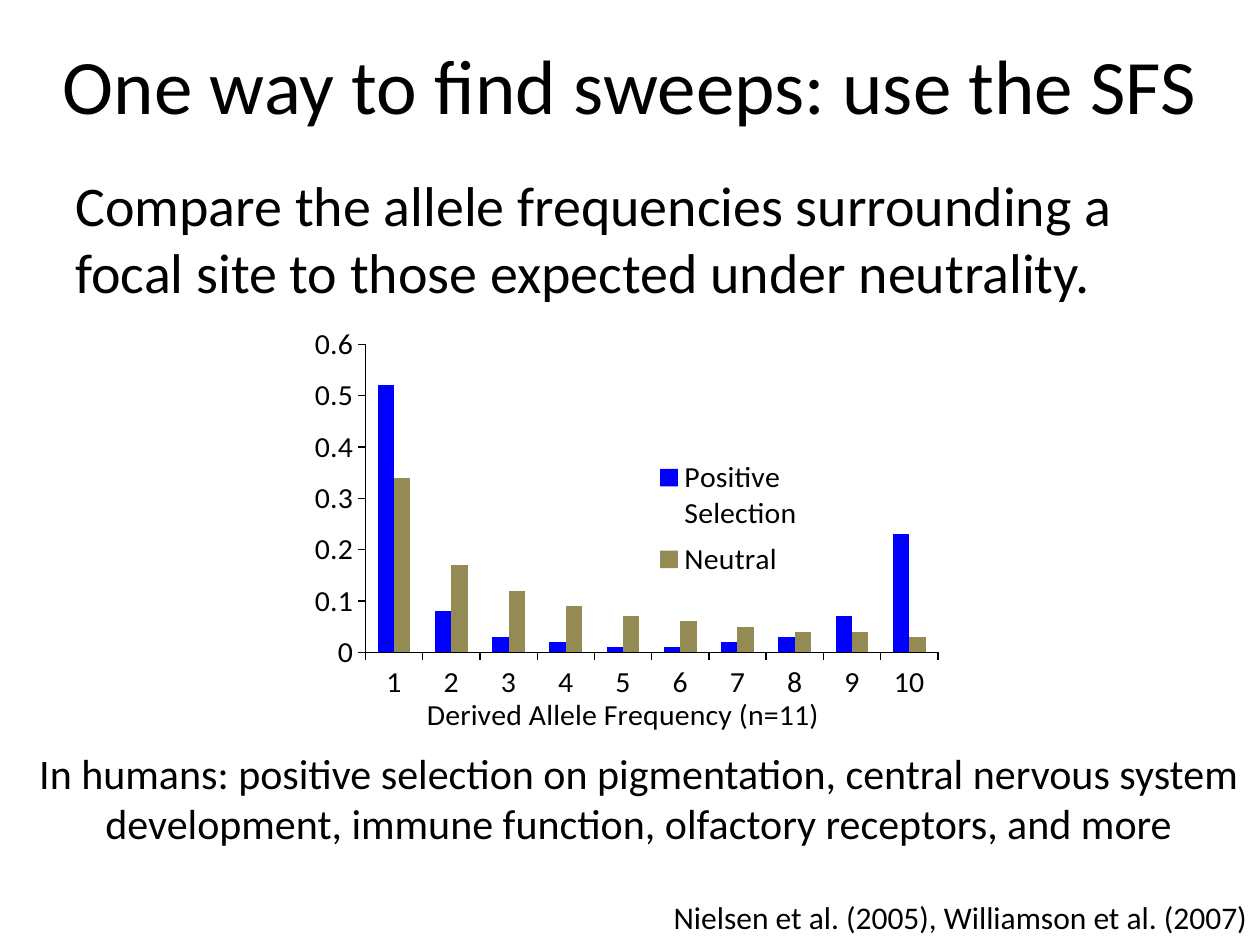
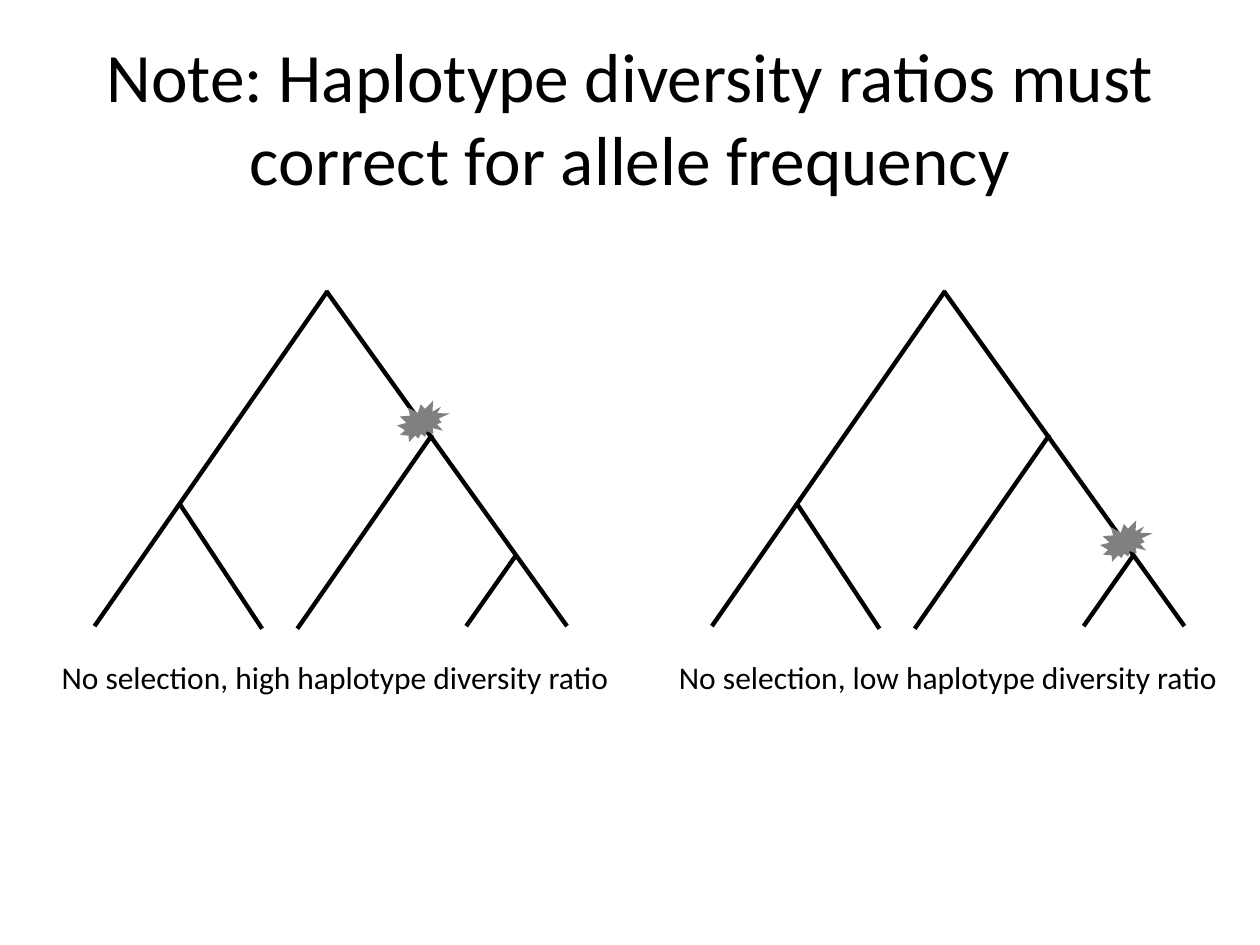
from dataclasses import dataclass

from lxml import etree
from pptx import Presentation
from pptx import util as u
from pptx.chart.data import CategoryChartData
from pptx.dml.color import RGBColor
from pptx.enum import chart as charts
from pptx.enum import shapes, text
from pptx.oxml import parse_xml
from pptx.oxml.ns import nsdecls, qn

COLUMNS, ROWS = 100, 75
WIDTH, HEIGHT = u.Inches(10), u.Inches(7.5)
FONT = "Calibri"
COLORS = {
    "ink": "000000",
    "selection": "0000FF",
    "neutral": "948A54",
    "mutation": "808080",
}
LEFT, CENTER, RIGHT = text.PP_ALIGN.LEFT, text.PP_ALIGN.CENTER, text.PP_ALIGN.RIGHT
TOP, MIDDLE = text.MSO_ANCHOR.TOP, text.MSO_ANCHOR.MIDDLE


@dataclass(frozen=True)
class Area:
    """A rectangle in grid columns and rows."""
    left: float
    top: float
    width: float
    height: float

    def emu(self) -> tuple:
        return column(self.left), row(self.top), column(self.width), row(self.height)


@dataclass(frozen=True)
class Label:
    words: str
    area: Area
    size: float = 18
    align: text.PP_ALIGN = LEFT
    anchor: text.MSO_ANCHOR = TOP
    wrap: bool = True


@dataclass(frozen=True)
class Branch:
    """A tree edge; columns count from the left edge of the tree's half."""
    start: tuple
    end: tuple


@dataclass(frozen=True)
class Tree:
    offset: float
    caption: Label
    mutation: Area


@dataclass(frozen=True)
class Series:
    name: str
    values: tuple
    color: str


BRANCHES = (
    Branch((26, 23.1), (7.5, 49.7)),
    Branch((45, 49.7), (25.9, 23.1)),
    Branch((41, 44), (37, 49.7)),
    Branch((34.3, 34.5), (23.6, 49.9)),
    Branch((14.2, 39.9), (20.8, 49.9)),
)
TREES = (
    Tree(0, Label("No selection, high haplotype diversity ratio",
                  Area(3.9, 51.7, 46, 4), wrap=False),
         Area(31.5, 31.8, 4.2, 3.3)),
    Tree(49, Label("No selection, low haplotype diversity ratio",
                   Area(52.9, 51.7, 45.2, 4), wrap=False),
         Area(87.3, 41.3, 4.2, 3.3)),
)
SPECTRA = (
    Series("Positive Selection",
           (0.52, 0.08, 0.03, 0.02, 0.01, 0.01, 0.02, 0.03, 0.07, 0.23), "selection"),
    Series("Neutral",
           (0.34, 0.17, 0.12, 0.09, 0.07, 0.06, 0.05, 0.04, 0.04, 0.03), "neutral"),
)
SPECTRUM_LABELS = (
    Label("Compare the allele frequencies surrounding a focal site to those "
          "expected under neutrality.", Area(5, 13, 90, 49.5), 32),
    Label("Nielsen et al. (2005), Williamson et al. (2007)",
          Area(45.5, 70.8, 54.5, 4), align=RIGHT),
    Label("In humans: positive selection on pigmentation, central nervous system "
          "development, immune function, olfactory receptors, and more",
          Area(1.4, 58.8, 98.6, 9.1), 24, CENTER),
)


def column(count: float) -> u.Emu:
    return u.Emu(round(WIDTH * count / COLUMNS))


def row(count: float) -> u.Emu:
    return u.Emu(round(HEIGHT * count / ROWS))


def rgb(name: str) -> RGBColor:
    return RGBColor.from_string(COLORS[name])


def set_all(target, formats: dict) -> None:
    for name, value in formats.items():
        setattr(target, name, value)


def style_font(font, size: float) -> None:
    set_all(font, {"name": FONT, "size": u.Pt(size), "bold": False})
    font.color.rgb = rgb("ink")


def add_label(page, label: Label) -> None:
    box = page.shapes.add_textbox(*label.area.emu())
    set_all(box.text_frame, {"word_wrap": label.wrap, "vertical_anchor": label.anchor})
    para = box.text_frame.paragraphs[0]
    para.alignment = label.align
    span = para.add_run()
    span.text = label.words
    style_font(span.font, label.size)


def add_title(page, words: str, area: Area, size: float) -> None:
    add_label(page, Label(words, area, size, CENTER, MIDDLE))


def add_branch(page, branch: Branch, offset: float) -> None:
    (x1, y1), (x2, y2) = branch.start, branch.end
    line = page.shapes.add_connector(
        shapes.MSO_CONNECTOR.STRAIGHT,
        column(offset + x1), row(y1), column(offset + x2), row(y2))
    line.line.width = u.Pt(2.5)
    line.line.color.rgb = rgb("ink")
    etree.SubElement(line._element.spPr, qn("a:effectLst"))


def add_mutation(page, area: Area) -> None:
    burst = page.shapes.add_shape(shapes.MSO_SHAPE.EXPLOSION2, *area.emu())
    burst.shadow.inherit = False
    burst.fill.solid()
    burst.fill.fore_color.rgb = rgb("mutation")
    burst.line.fill.background()


def add_tree(page, tree: Tree) -> None:
    for branch in BRANCHES:
        add_branch(page, branch, tree.offset)
    add_label(page, tree.caption)
    add_mutation(page, tree.mutation)


def place(element, after: tuple, inner: bool = False, **shares: float) -> None:
    """Fix a chart part at shares of the chart's size, after the last named child."""
    for old in element.findall(qn("c:layout")):
        element.remove(old)
    entries = '<c:layoutTarget val="inner"/>' if inner else ""
    entries += "".join(f'<c:{key}Mode val="edge"/>' for key in "xy")
    entries += "".join(f'<c:{key} val="{value}"/>' for key, value in shares.items())
    layout = parse_xml(f'<c:layout {nsdecls("c")}><c:manualLayout>{entries}'
                       '</c:manualLayout></c:layout>')
    index = sum(child.tag in [qn(tag) for tag in after] for child in element)
    element.insert(index, layout)


def style_axis(axis) -> None:
    set_all(axis, {
        "has_major_gridlines": False,
        "major_tick_mark": charts.XL_TICK_MARK.OUTSIDE,
        "minor_tick_mark": charts.XL_TICK_MARK.NONE,
    })
    axis.format.line.width = u.Pt(0.75)
    axis.format.line.color.rgb = rgb("ink")


def add_spectrum_chart(page, area: Area) -> None:
    data = CategoryChartData()
    data.categories = [str(count) for count in range(1, 11)]
    for series in SPECTRA:
        data.add_series(series.name, series.values)
    chart = page.shapes.add_chart(
        charts.XL_CHART_TYPE.COLUMN_CLUSTERED, *area.emu(), data).chart
    set_all(chart, {"has_title": False, "has_legend": True})
    style_font(chart.font, 17)

    plot = chart.plots[0]
    set_all(plot, {"gap_width": 150, "overlap": 0, "vary_by_categories": False})
    for bars, series in zip(plot.series, SPECTRA):
        bars.format.fill.solid()
        bars.format.fill.fore_color.rgb = rgb(series.color)

    for axis in (chart.category_axis, chart.value_axis):
        style_axis(axis)
    set_all(chart.value_axis, {"minimum_scale": 0, "maximum_scale": 0.6, "major_unit": 0.1})
    title = chart.category_axis.axis_title
    title.text_frame.text = "Derived Allele Frequency (n=11)"
    style_font(title.text_frame.paragraphs[0].runs[0].font, 17)
    set_all(chart.legend, {"position": charts.XL_LEGEND_POSITION.RIGHT,
                           "include_in_layout": False})

    plot_area = chart._chartSpace.chart.plotArea
    place(plot_area, (), inner=True, x=0.15, y=0.04, w=0.82, h=0.76)
    place(title._element, ("c:tx",), x=0.23, y=0.89)
    place(chart.legend._element, ("c:legendPos", "c:legendEntry"),
          x=0.53, y=0.3, w=0.28, h=0.34)


def build_spectrum_page(page) -> None:
    add_title(page, "One way to find sweeps: use the SFS", Area(0, 0.4, 100, 12.5), 44)
    for label in SPECTRUM_LABELS:
        add_label(page, label)
    add_spectrum_chart(page, Area(20.7, 25.9, 55.4, 33))


def build_haplotype_page(page) -> None:
    add_title(page, "Note: Haplotype diversity ratios must correct for allele frequency",
              Area(5, 3, 90, 12.5), 39.6)
    for tree in TREES:
        add_tree(page, tree)


def main() -> None:
    deck = Presentation()
    set_all(deck, {"slide_width": WIDTH, "slide_height": HEIGHT})
    for build in (build_spectrum_page, build_haplotype_page):
        build(deck.slides.add_slide(deck.slide_layouts[6]))
    deck.save("out.pptx")


if __name__ == "__main__":
    main()
